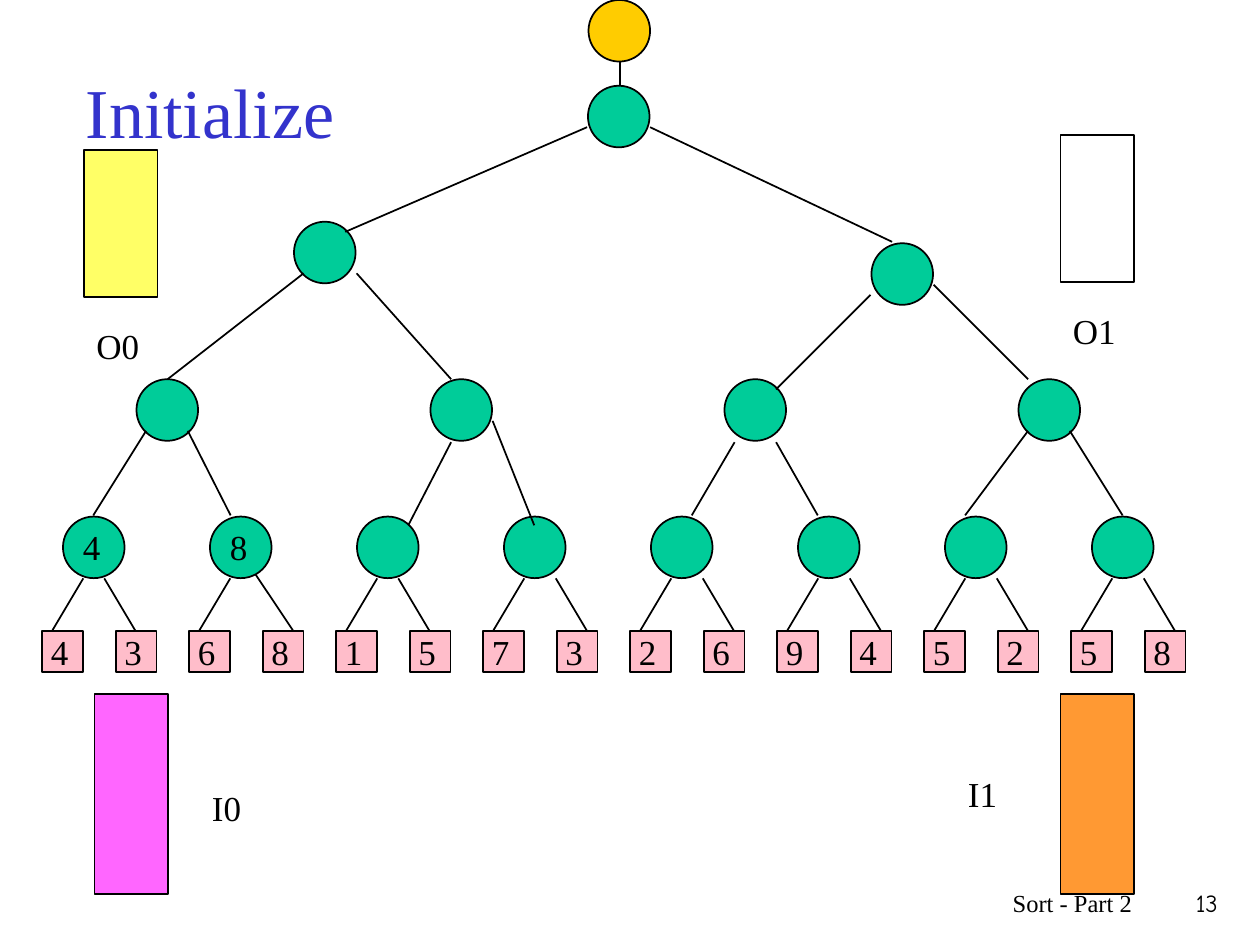
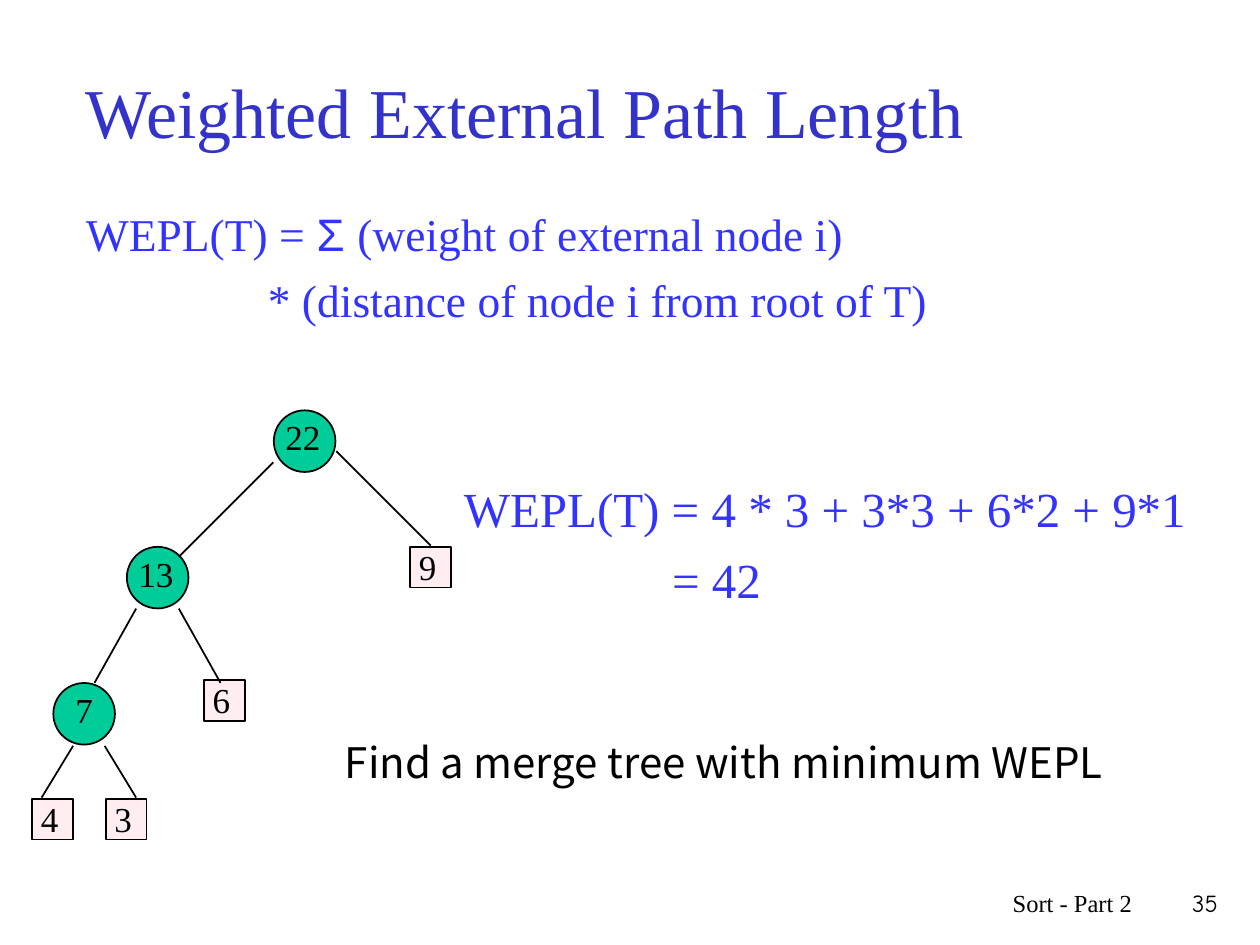
from dataclasses import dataclass

import lxml.etree
import pptx
import pptx.dml.color
import pptx.enum.shapes
import pptx.enum.text
import pptx.oxml.ns
import pptx.util

Pt = pptx.util.Pt
Shapes = pptx.enum.shapes.MSO_SHAPE
Align = pptx.enum.text.PP_ALIGN
Anchor = pptx.enum.text.MSO_ANCHOR

# Shared palette, fonts and sizes
BLACK, GREEN, GOLD = "000000", "00CC99", "FFCC00"
PINK, PALE_PINK = "FFBDCA", "FFEDF0"
TITLE_BLUE, FORMULA_BLUE = "3333CC", "3333FF"
SERIF, SANS = "Times New Roman", "Arial"
NODE_SIZE, LEAF_SIZE = 35.2, 23.3
LABEL_WIDTH, LABEL_HEIGHT = 24.5, 31


@dataclass(frozen=True)
class Area:
    left: float
    top: float
    width: float
    height: float

    def lengths(self) -> list:
        return [Pt(value) for value in (self.left, self.top, self.width, self.height)]


@dataclass(frozen=True)
class Style:
    size: float = 20
    font: str = SERIF
    colour: str = BLACK


@dataclass(frozen=True)
class Span:
    text: str
    style: Style


@dataclass(frozen=True)
class Line:
    spans: tuple
    indent: float = 0
    hanging: float = 0
    space_before: float = 0


@dataclass(frozen=True)
class Edge:
    x1: float
    y1: float
    x2: float
    y2: float


@dataclass(frozen=True)
class Buffer:
    name: str
    bar: Area
    label: Area
    colour: str


LABEL = Style()
TITLE = Style(40, SERIF, TITLE_BLUE)
FOOTER = Style(14)
PAGE_NUMBER = Style(14, "Comic Neue")
CALL_TO_ACTION = Style(24, "Noto Sans CJK KR")


def rgb(colour: str) -> pptx.dml.color.RGBColor:
    return pptx.dml.color.RGBColor.from_string(colour)


def add_lines(page, area: Area, lines: list, **frame_format) -> None:
    """Text box holding one paragraph per line."""
    frame = page.shapes.add_textbox(*area.lengths()).text_frame
    for name, value in {"word_wrap": True, **frame_format}.items():
        setattr(frame, name, value)
    for index, line in enumerate(lines):
        para = frame.paragraphs[0] if index == 0 else frame.add_paragraph()
        if line.indent:
            properties = para._p.get_or_add_pPr()
            properties.set("marL", str(Pt(line.indent)))
            properties.set("indent", str(Pt(-line.hanging)))
        if line.space_before:
            para.space_before = Pt(line.space_before)
        for span in line.spans:
            run = para.add_run()
            run.text = span.text
            values = {"size": Pt(span.style.size), "name": span.style.font}
            for name, value in values.items():
                setattr(run.font, name, value)
            run.font.color.rgb = rgb(span.style.colour)


def add_text(page, area: Area, text: str, style: Style = LABEL,
             align=Align.LEFT, **frame_format) -> None:
    """Text box with a single line in one style."""
    add_lines(page, area, [Line((Span(text, style),))], **frame_format)
    page.shapes[-1].text_frame.paragraphs[0].alignment = align


def add_label(page, left: float, top: float, text: str) -> None:
    add_text(page, Area(left, top, LABEL_WIDTH, LABEL_HEIGHT), text, word_wrap=False)


def add_block(page, kind, area: Area, colour: str) -> None:
    """Filled shape with a thin black outline."""
    shape = page.shapes.add_shape(kind, *area.lengths())
    shape.shadow.inherit = False
    shape.fill.solid()
    shape.fill.fore_color.rgb = rgb(colour)
    shape.line.color.rgb = rgb(BLACK)
    shape.line.width = Pt(1)


def add_node(page, left: float, top: float, colour: str = GREEN) -> None:
    add_block(page, Shapes.OVAL, Area(left, top, NODE_SIZE, NODE_SIZE), colour)


def add_leaf(page, left: float, top: float, text: str, colour: str) -> None:
    add_block(page, Shapes.RECTANGLE, Area(left, top, LEAF_SIZE, LEAF_SIZE), colour)
    add_label(page, left - 2.2, top - 4.3, text)


def add_edge(page, edge: Edge) -> None:
    ends = [Pt(value) for value in (edge.x1, edge.y1, edge.x2, edge.y2)]
    connector = page.shapes.add_connector(
        pptx.enum.shapes.MSO_CONNECTOR.STRAIGHT, *ends)
    connector.line.color.rgb = rgb(BLACK)
    connector.line.width = Pt(1)
    lxml.etree.SubElement(connector._element.spPr, pptx.oxml.ns.qn("a:effectLst"))


def add_page(deck, title: str):
    page = deck.slides.add_slide(deck.slide_layouts[6])
    add_text(page, Area(42, 18, 612, 90), title, TITLE,
             vertical_anchor=Anchor.MIDDLE)
    return page


def add_footer(page, number: str) -> None:
    add_text(page, Area(654, 504, 49, 36), number, PAGE_NUMBER, Align.RIGHT)
    add_text(page, Area(426, 504, 228, 36), "Sort - Part 2", FOOTER, Align.RIGHT)


# Loser tree: 16 runs feed 8 bottom nodes
RUN_KEYS = "4368157326945258"
RUN_STEP, RUN_TOP = 42, 360.8
BOTTOM_LEFTS = [36 + 2 * RUN_STEP * index for index in range(8)]
BOTTOM_TOP = 295.2
MIDDLE_LEFTS = [78 + 4 * RUN_STEP * index for index in range(4)]
UPPER_NODES = [(168, 126.7), (498, 139), (336, 49)]
WINNERS = {0: "4", 1: "8"}

UPPER_EDGES = [
    Edge(335.5, 72.7, 197.3, 132.5), Edge(371.5, 72.7, 509.8, 138.2),
    Edge(173.5, 156.2, 95.8, 216.7), Edge(203.8, 156.2, 257.8, 216.7),
    Edge(497.5, 168.5, 443.5, 222.5), Edge(533.5, 162.7, 587.5, 216.7),
    Edge(83.5, 246.2, 53.3, 294.5), Edge(107.3, 246.2, 131.8, 294.5),
    Edge(257.8, 252.7, 233.3, 300.2), Edge(281.5, 240.5, 305.3, 300.2),
    Edge(419.8, 252.7, 395.3, 294.5), Edge(443.5, 252.7, 467.3, 294.5),
    Edge(587.5, 246.2, 551.5, 294.5), Edge(611.3, 246.2, 641.5, 294.5),
]

BUFFERS = [
    Buffer("O0", Area(48, 85.8, 42, 84), Area(48, 182, 42, 31), "FFFF66"),
    Buffer("O1", Area(606, 77, 42, 84), Area(606, 173.5, 42, 31), "FFFFFF"),
    Buffer("I0", Area(54, 396.7, 42, 114), Area(114, 445.7, 42, 42.5), "FF66FF"),
    Buffer("I1", Area(606, 396.7, 42, 114), Area(546, 437.8, 42, 42.5), "FF9933"),
]


def run_edges(index: int, left: float) -> list:
    """The two edges from a bottom node down to its runs."""
    left_edge = Edge(left + 11.6, 330.5, left - 6.4, RUN_TOP)
    if index == 1:
        return [left_edge, Edge(left + 26.2, 328.5, left + 47.8, RUN_TOP)]
    shift = 6 if index >= 3 else 0
    return [left_edge, Edge(left + 23.6 + shift, 330.5, left + 41.6 + shift, RUN_TOP)]


def build_initialize(deck) -> None:
    page = add_page(deck, "Initialize")
    add_edge(page, Edge(354.2, 20.2, 354.2, 65.5))

    # Runs and nodes
    for index, key in enumerate(RUN_KEYS):
        add_leaf(page, 24.2 + RUN_STEP * index, RUN_TOP, key, PINK)
    nodes = [(left, BOTTOM_TOP) for left in BOTTOM_LEFTS]
    nodes += [(left, 216.7) for left in MIDDLE_LEFTS] + UPPER_NODES
    for left, top in nodes:
        add_node(page, left, top)
    add_node(page, 336.3, 0, GOLD)

    # Edges and winners so far
    for edge in UPPER_EDGES:
        add_edge(page, edge)
    for index, left in enumerate(BOTTOM_LEFTS):
        for edge in run_edges(index, left):
            add_edge(page, edge)
    for index, key in WINNERS.items():
        add_label(page, BOTTOM_LEFTS[index] + 4.3, BOTTOM_TOP + 1.4, key)

    # Input and output buffers
    for buffer in BUFFERS:
        add_block(page, Shapes.RECTANGLE, buffer.bar, buffer.colour)
        add_text(page, buffer.label, buffer.name)
    add_footer(page, "13")


# Merge tree: (left, top, label left, text) for nodes, (left, top, text) for leaves
MERGE_NODES = [(30.5, 390.3, 36, "7"), (72.5, 312.5, 72, "13"), (156.5, 234.5, 156, "22")]
MERGE_LEAVES = [(18.5, 456.5, "4"), (60.5, 456.5, "3"), (116.6, 388.6, "6"),
                (234.5, 312.5, "9")]
MERGE_EDGES = [
    Edge(156.2, 264.2, 102.2, 318.2), Edge(192.2, 257.8, 246.2, 311.8),
    Edge(77.8, 347.8, 54, 390.2), Edge(102.2, 347.8, 126, 390.2),
    Edge(41.8, 426.2, 23.8, 455.8), Edge(59.8, 426.2, 77.8, 455.8),
]


def build_path_length(deck) -> None:
    page = add_page(deck, "Weighted External Path Length")

    # Definition and worked example
    definition = Style(26, SERIF, FORMULA_BLUE)
    sigma = Style(26, SANS, FORMULA_BLUE)
    add_lines(page, Area(42, 114, 612, 90), [
        Line((Span("WEPL(T) = ", definition), Span("Σ ", sigma),
              Span("(weight of external node i)", definition)), 27, 27),
        Line((Span("* (distance of node i from root of T)", definition),),
             104, space_before=6.5),
    ])
    example = Style(28, SERIF, FORMULA_BLUE)
    add_lines(page, Area(258, 270, 438, 156), [
        Line((Span("WEPL(T) = 4 * 3 + 3*3 + 6*2 + 9*1", example),), 27, 27),
        Line((Span("= 42", example),), 119, space_before=7),
    ])

    # Tree
    for left, top, text in MERGE_LEAVES:
        add_leaf(page, left, top, text, PALE_PINK)
    for left, top, label_left, text in MERGE_NODES:
        add_node(page, left, top)
        width = LABEL_WIDTH if len(text) == 1 else 42
        add_text(page, Area(label_left, top - 0.5, width, LABEL_HEIGHT), text,
                 word_wrap=False)
    for edge in MERGE_EDGES:
        add_edge(page, edge)

    add_text(page, Area(190, 417.6, 459.4, 36),
             "Find a merge tree with minimum WEPL", CALL_TO_ACTION)
    add_footer(page, "35")


def main() -> None:
    deck = pptx.Presentation()
    deck.slide_width, deck.slide_height = Pt(720), Pt(540)
    build_initialize(deck)
    build_path_length(deck)
    deck.save("out.pptx")


if __name__ == "__main__":
    main()
